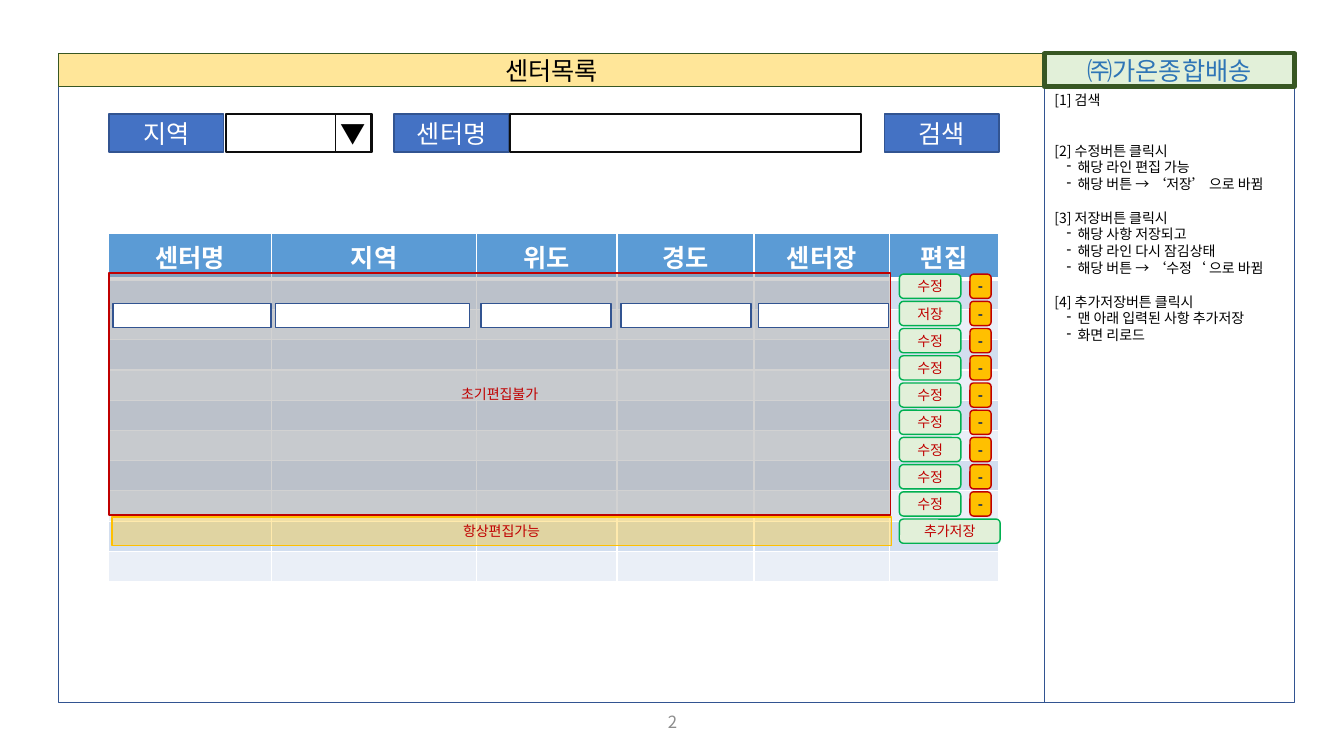
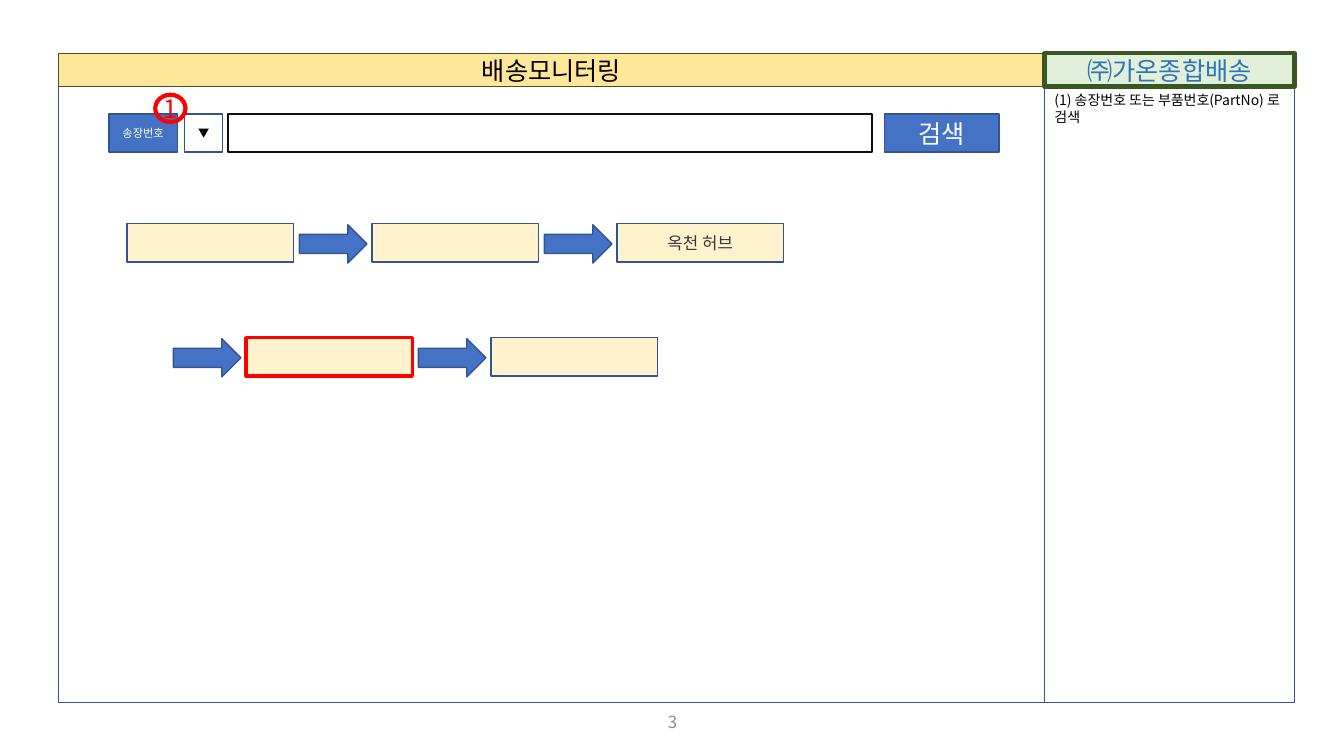
from dataclasses import dataclass
from itertools import accumulate

from lxml import etree
from pptx import Presentation
from pptx.dml.color import RGBColor
from pptx.enum.shapes import MSO_SHAPE
from pptx.enum.text import MSO_ANCHOR, PP_ALIGN
from pptx.oxml.ns import qn
from pptx.util import Inches, Pt

RECTANGLE = MSO_SHAPE.RECTANGLE
ROUNDED = MSO_SHAPE.ROUNDED_RECTANGLE
ELLIPSE = MSO_SHAPE.OVAL
ARROW = MSO_SHAPE.RIGHT_ARROW
MIDDLE, TOP = MSO_ANCHOR.MIDDLE, MSO_ANCHOR.TOP
CENTER, LEFT = PP_ALIGN.CENTER, PP_ALIGN.LEFT

FONT = "Noto Sans CJK KR"
BLACK = RGBColor(0x00, 0x00, 0x00)
WHITE = RGBColor(0xFF, 0xFF, 0xFF)
INK = RGBColor(0x0D, 0x0D, 0x0D)
CHARCOAL = RGBColor(0x3B, 0x38, 0x38)
PAGE_GRAY = RGBColor(0x8C, 0x8C, 0x8C)
LOCK_GRAY = RGBColor(0xA6, 0xA6, 0xA6)
BLUE = RGBColor(0x44, 0x72, 0xC4)
BLUE_LINE = RGBColor(0x32, 0x54, 0x91)
BRAND_BLUE = RGBColor(0x2E, 0x75, 0xB6)
NAVY = RGBColor(0x00, 0x20, 0x60)
HEADER_BLUE = RGBColor(0x5B, 0x9B, 0xD5)
ROW_DARK = RGBColor(0xD2, 0xDE, 0xEF)
ROW_LIGHT = RGBColor(0xEA, 0xEF, 0xF7)
TITLE_YELLOW = RGBColor(0xFF, 0xE6, 0x99)
CREAM = RGBColor(0xFF, 0xF2, 0xCC)
AMBER = RGBColor(0xFF, 0xC0, 0x00)
PALE_GREEN = RGBColor(0xE2, 0xF0, 0xD9)
DARK_GREEN = RGBColor(0x38, 0x57, 0x23)
GREEN = RGBColor(0x00, 0xB0, 0x50)
DARK_RED = RGBColor(0xC0, 0x00, 0x00)
RED = RGBColor(0xFF, 0x00, 0x00)


@dataclass
class Box:
    """An area in inches."""
    left: float
    top: float
    width: float
    height: float

    def inner(self, left, top, width, height):
        """Area placed relative to this one's top left corner."""
        return Box(self.left + left, self.top + top, width, height)

    def emu(self):
        return [Inches(v) for v in (self.left, self.top, self.width, self.height)]


TITLE_BAND = Box(0.58, 0.53, 9.78, 0.33)
MAIN = Box(0.58, 0.86, 9.78, 6.11)
BRAND_BAND = Box(10.36, 0.53, 2.48, 0.33)
NOTES = Box(10.36, 0.86, 2.48, 6.11)
PAGE_NUMBER = Box(5.17, 6.96, 3, 0.4)
SEARCH_ROW = MAIN.inner(0.5, 0.27, 8.83, 0.38)
CENTER_LIST = MAIN.inner(0.5, 1.46, 8.83, 3.45)
ROUTE = MAIN.inner(0.68, 1.36, 6.51, 1.51)


def add_run(paragraph, text, size, color, bold=False):
    run = paragraph.add_run()
    run.text = text
    font = run.font
    font.size, font.bold, font.name = Pt(size), bold, FONT
    font.color.rgb = color
    etree.SubElement(font._element, qn("a:ea"), typeface=FONT)


def prepare_frame(frame, anchor, inset_x=0, inset_y=0):
    frame.word_wrap = True
    frame.vertical_anchor = anchor
    frame.margin_left = frame.margin_right = Inches(inset_x)
    frame.margin_top = frame.margin_bottom = Inches(inset_y)


def add_box(slide, box, fill=None, line=BLUE_LINE, text="", size=18, color=BLACK,
            kind=RECTANGLE, weight=1, bold=False, opacity=None):
    shape = slide.shapes.add_shape(kind, *box.emu())
    shape.shadow.inherit = False
    if fill is None:
        shape.fill.background()
    else:
        shape.fill.solid()
        shape.fill.fore_color.rgb = fill
    if opacity is not None:
        tone = shape._element.spPr.find(qn("a:solidFill"))[0]
        etree.SubElement(tone, qn("a:alpha"), val=str(opacity * 1000))
    shape.line.color.rgb = line
    shape.line.width = Pt(weight)
    if text:
        prepare_frame(shape.text_frame, MIDDLE)
        paragraph = shape.text_frame.paragraphs[0]
        paragraph.alignment = CENTER
        add_run(paragraph, text, size, color, bold)
    return shape


def add_notes(slide, box, notes):
    """notes: (text, lines of space before) pairs; a leading dash makes a bullet."""
    frame = add_box(slide, box).text_frame
    prepare_frame(frame, TOP, 0.1, 0.05)
    for index, (text, blank_lines) in enumerate(notes):
        paragraph = frame.add_paragraph() if index else frame.paragraphs[0]
        paragraph.alignment = LEFT
        paragraph.line_spacing = Pt(12)
        paragraph.space_before = Pt(12 * blank_lines)
        if text.startswith("- "):
            text = text[2:]
            properties = paragraph._p.get_or_add_pPr()
            properties.set("marL", str(Inches(0.23)))
            properties.set("indent", str(-Inches(0.11)))
            etree.SubElement(properties, qn("a:buChar"), char="-")
        add_run(paragraph, text, 10, BLACK)


def add_page(presentation, title, number, notes):
    slide = presentation.slides.add_slide(presentation.slide_layouts[6])
    add_box(slide, MAIN)
    add_notes(slide, NOTES, notes)
    add_box(slide, TITLE_BAND, TITLE_YELLOW, DARK_GREEN, title)
    add_box(slide, BRAND_BAND, PALE_GREEN, DARK_GREEN, "㈜가온종합배송",
            color=BRAND_BLUE, weight=3)
    frame = slide.shapes.add_textbox(*PAGE_NUMBER.emu()).text_frame
    prepare_frame(frame, MIDDLE)
    frame.paragraphs[0].alignment = CENTER
    add_run(frame.paragraphs[0], str(number), 12, PAGE_GRAY)
    return slide


def add_label(slide, row, left, width, text, size=18):
    add_box(slide, row.inner(left, 0, width, row.height), BLUE, text=text,
            size=size, color=WHITE)


def add_search_button(slide, row):
    add_label(slide, row, row.width - 1.14, 1.14, "검색")


def add_center_search(slide, row):
    for left, text in ((0, "지역"), (2.83, "센터명")):
        add_label(slide, row, left, 1.14, text)
    for left, width, text in ((1.16, 1.45, ""), (2.25, 0.35, "▼"), (3.98, 3.48, "")):
        add_box(slide, row.inner(left, 0, width, row.height), line=INK, text=text)
    add_search_button(slide, row)


def style_cell(cell, fill, bottom_weight):
    properties = cell._tc.get_or_add_tcPr()
    for side, weight in (("L", 1), ("R", 1), ("T", 1), ("B", bottom_weight)):
        border = etree.SubElement(properties, qn(f"a:ln{side}"), w=str(Pt(weight)))
        solid = etree.SubElement(border, qn("a:solidFill"))
        etree.SubElement(solid, qn("a:srgbClr"), val=str(WHITE))
    cell.fill.solid()
    cell.fill.fore_color.rgb = fill
    cell.margin_top = cell.margin_bottom = Inches(0.04)


def add_center_table(slide, box, widths, headings):
    row_count, header_height = 10, 0.45
    table = slide.shapes.add_table(row_count + 1, len(widths), *box.emu()).table
    for column, width in zip(table.columns, widths):
        column.width = Inches(width)
    for index, row in enumerate(table.rows):
        header = index == 0
        row.height = Inches(header_height if header
                            else (box.height - header_height) / row_count)
        fill = HEADER_BLUE if header else (ROW_LIGHT, ROW_DARK)[index % 2]
        for cell, heading in zip(row.cells, headings):
            style_cell(cell, fill, 3 if header else 1)
            paragraph = cell.text_frame.paragraphs[0]
            if header:
                paragraph.alignment = CENTER
                add_run(paragraph, heading, 18, WHITE, True)
            else:
                etree.SubElement(paragraph._p, qn("a:endParaRPr"), sz="1000")


def add_edit_buttons(slide, box):
    pitch, height, row_count, saved_row = 0.27, 0.24, 9, 1
    for index in range(row_count + 1):
        top = index * pitch
        last = index == row_count
        text = "추가저장" if last else "저장" if index == saved_row else "수정"
        add_box(slide, box.inner(0, top, 1 if last else 0.61, height), PALE_GREEN, GREEN,
                text, 10, DARK_RED, ROUNDED)
        if not last:
            add_box(slide, box.inner(0.7, top, 0.21, height), AMBER, DARK_RED,
                    "-", 10, NAVY, ROUNDED, bold=True)


def add_center_list(slide, box):
    widths = [1.61, 2.04, 1.39, 1.36, 1.34, 1.09]
    add_center_table(slide, box, widths,
                     ["센터명", "지역", "위도", "경도", "센터장", "편집"])
    add_edit_buttons(slide, box.inner(7.84, 0.4, 1, 2.67))
    add_box(slide, box.inner(0.03, 2.81, 7.73, 0.28), AMBER, AMBER, "항상편집가능", 10,
            DARK_RED, opacity=32)
    add_box(slide, box.inner(0, 0.39, 7.75, 2.4), LOCK_GRAY, DARK_RED, "초기편집불가", 10,
            DARK_RED, opacity=50)
    starts = accumulate(widths, initial=0)
    for start, width in zip(starts, [1.57, 1.93, 1.29, 1.29, 1.29]):
        add_box(slide, box.inner(start + 0.04, 0.69, width, 0.24), WHITE)


def add_invoice_search(slide, row):
    add_label(slide, row, 0, 0.68, "송장번호", 8)
    add_box(slide, row.inner(0.75, 0, 0.38, row.height), WHITE, text="▼", size=8)
    add_box(slide, row.inner(1.18, 0, 6.39, row.height), line=INK)
    add_search_button(slide, row)
    add_box(slide, row.inner(0.46, -0.19, 0.3, 0.27), line=RED, text="1", color=RED,
            kind=ELLIPSE, weight=3)


def add_route(slide, box):
    """Two rows of stops, with an arrow before every stop but the first."""
    pitch, stop_width, arrow_width, height = 2.43, 1.65, 0.67, 0.38
    arrow_lead = 0.72
    rows = ((0, 0, ("", "", "옥천 허브"), None), (1.18, 1.13, ("", ""), 0))
    for row_left, top, stops, current in rows:
        for index, name in enumerate(stops):
            left = row_left + index * pitch
            line, weight = (RED, 2.25) if index == current else (BLUE_LINE, 1)
            add_box(slide, box.inner(left, top, stop_width, height), CREAM, line,
                    name, 12, CHARCOAL, weight=weight)
            if index or top:
                add_box(slide, box.inner(left - arrow_lead, top + 0.01, arrow_width, height),
                        BLUE, kind=ARROW)


def build_center_list_slide(presentation):
    slide = add_page(presentation, "센터목록", 2, [
        ("[1] 검색", 0),
        ("[2] 수정버튼 클릭시", 2),
        ("- 해당 라인 편집 가능", 0),
        ("- 해당 버튼 → ‘저장’ 으로 바뀜", 0),
        ("[3] 저장버튼 클릭시", 1),
        ("- 해당 사항 저장되고", 0),
        ("- 해당 라인 다시 잠김상태", 0),
        ("- 해당 버튼 → ‘수정‘ 으로 바뀜", 0),
        ("[4] 추가저장버튼 클릭시", 1),
        ("- 맨 아래 입력된 사항 추가저장", 0),
        ("- 화면 리로드", 0),
    ])
    add_center_search(slide, SEARCH_ROW)
    add_center_list(slide, CENTER_LIST)


def build_delivery_slide(presentation):
    slide = add_page(presentation, "배송모니터링", 3,
                     [("(1) 송장번호 또는 부품번호(PartNo) 로 검색", 0)])
    add_invoice_search(slide, SEARCH_ROW)
    add_route(slide, ROUTE)


def main():
    presentation = Presentation()
    presentation.slide_width = Inches(13.33)
    presentation.slide_height = Inches(7.5)
    build_center_list_slide(presentation)
    build_delivery_slide(presentation)
    presentation.save("out.pptx")


if __name__ == "__main__":
    main()
